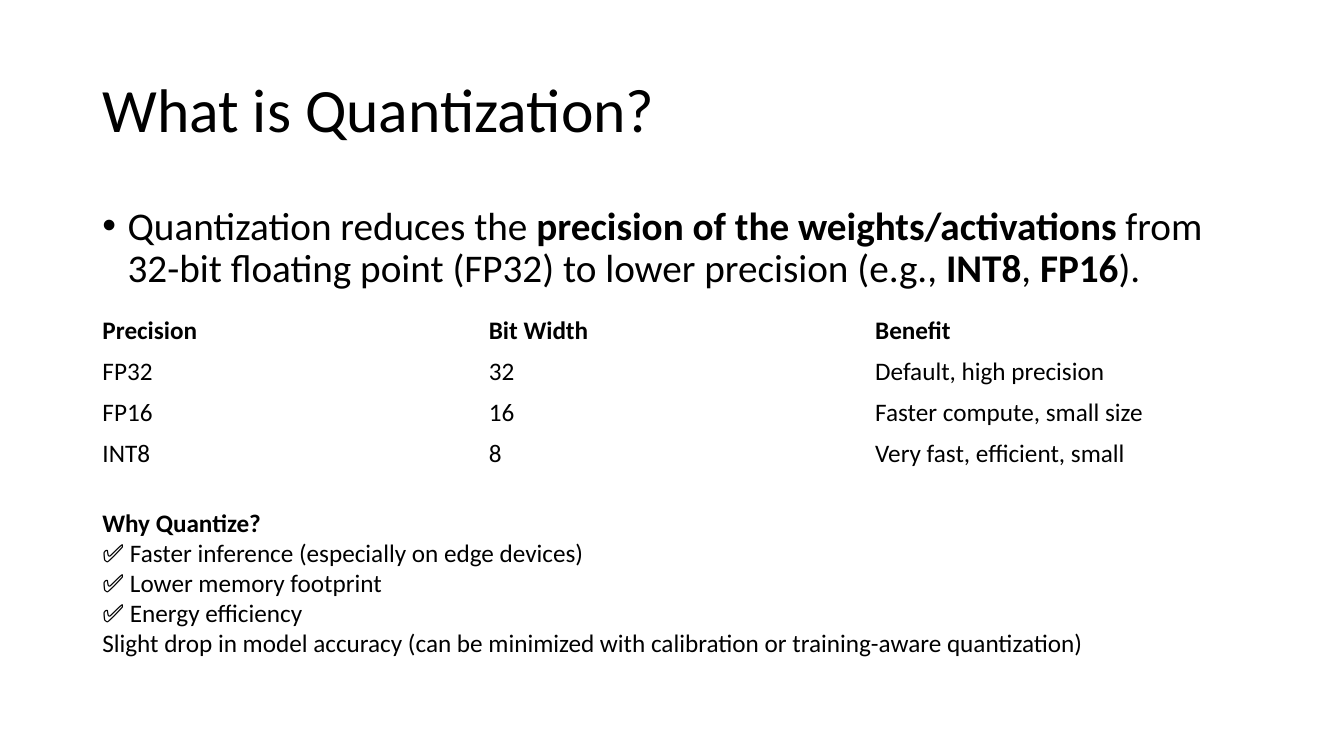
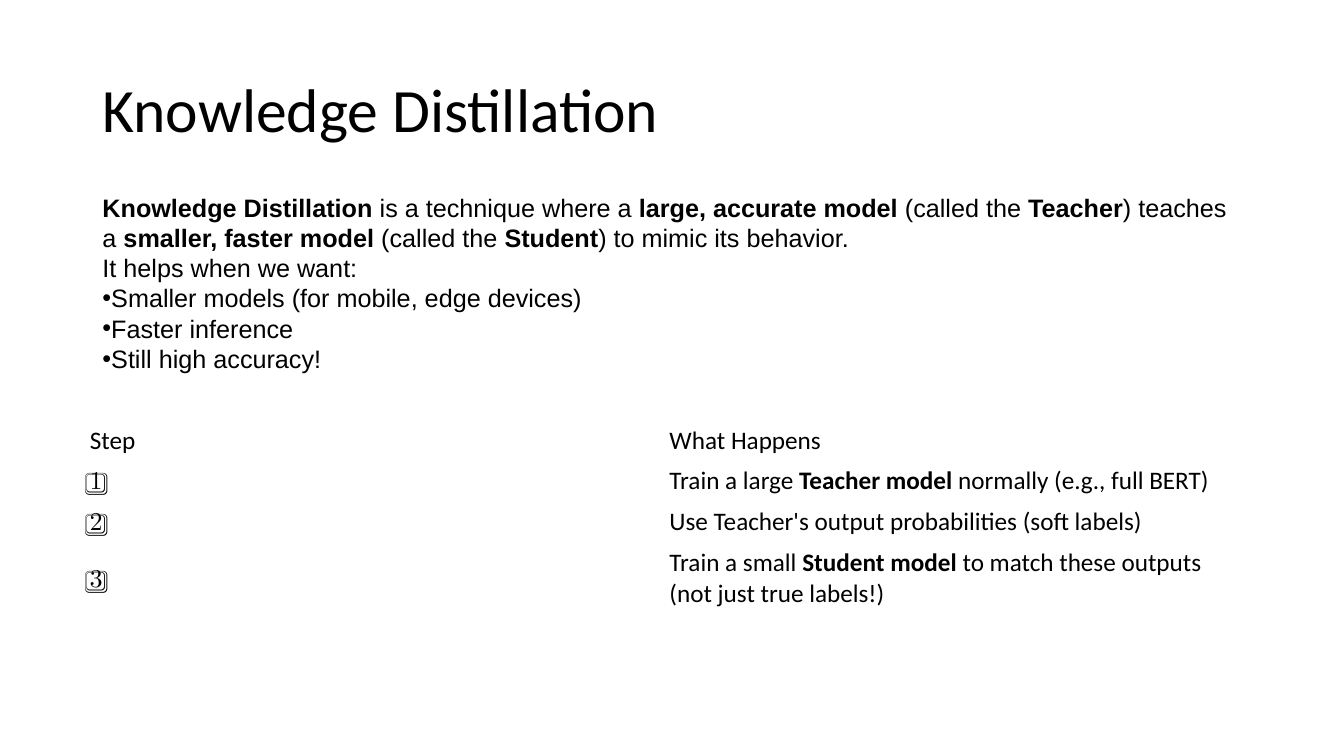
from lxml.etree import SubElement
from pptx import Presentation
from pptx.dml.color import RGBColor
from pptx.enum.text import MSO_ANCHOR as Anchor, MSO_AUTO_SIZE as Fit, PP_ALIGN as Align
from pptx.oxml.ns import qn
from pptx.util import Pt

PX = 9525  # EMU per px, 96 px to the inch
LEFT, WIDE = 88, 1104
ROW = 38
INK = "000000"

deck = Presentation()
deck.slide_width, deck.slide_height = 1280 * PX, 720 * PX


def write(frame, lines, size=18, font="Calibri", bold=False, lead=1.0,
          before=0, hang=0, anchor=Anchor.TOP):
    """Fill a frame; **marks** set bold, and a leading • makes a bullet."""
    frame.word_wrap = True
    frame.auto_size = Fit.NONE
    frame.vertical_anchor = anchor
    for i, line in enumerate(lines):
        para = frame.paragraphs[0] if i == 0 else frame.add_paragraph()
        para.alignment = Align.LEFT
        para.line_spacing = lead
        para.space_before = Pt(before)
        props = para._p.get_or_add_pPr()
        props.set("marL", str(hang * PX))
        props.set("indent", str(-hang * PX))
        if line.startswith("•"):
            SubElement(props, qn("a:buFont"), typeface="Arial")
            SubElement(props, qn("a:buChar"), char="•")
        else:
            SubElement(props, qn("a:buNone"))
        for j, part in enumerate(line.removeprefix("•").split("**")):
            if part:
                run = para.add_run()
                run.text = part
                run.font.size = Pt(size)
                run.font.name = font
                run.font.bold = bold or j % 2 == 1
                run.font.color.rgb = RGBColor.from_string(INK)


def grid(slide, rows, left, top, bold):
    """Add a plain table with equal columns; bold applies to its first row."""
    cols = len(rows[0])
    table = slide.shapes.add_table(len(rows), cols, left * PX, top * PX,
                                   WIDE * PX, len(rows) * ROW * PX).table
    table.first_row = table.horz_banding = False
    for r, row in enumerate(rows):
        for c, words in enumerate(row):
            cell = table.cell(r, c)
            cell.fill.background()
            write(cell.text_frame, [words], bold=bold and r == 0)
            cell.vertical_anchor = Anchor.MIDDLE


pages = [
    dict(
        title="What is Quantization?",
        top=192, tall=457,
        body=["•Quantization reduces the **precision of the weights/activations** from "
              "32-bit floating point (FP32) to lower precision (e.g., **INT8**, **FP16**)."],
        style=dict(size=28, lead=0.9, before=10, hang=24),
        table=dict(left=LEFT, top=296, bold=True, rows=[
            ["Precision", "Bit Width", "Benefit"],
            ["FP32", "32", "Default, high precision"],
            ["FP16", "16", "Faster compute, small size"],
            ["INT8", "8", "Very fast, efficient, small"],
        ]),
        note=["**Why Quantize?**",
              "✅ Faster inference (especially on edge devices)",
              "✅ Lower memory footprint",
              "✅ Energy efficiency",
              "Slight drop in model accuracy (can be minimized with calibration "
              "or training-aware quantization)"],
    ),
    dict(
        title="Knowledge Distillation",
        top=178, tall=213,
        body=["**Knowledge Distillation** is a technique where a **large, accurate model** "
              "(called the **Teacher**) teaches a **smaller, faster model** "
              "(called the **Student**) to mimic its behavior.",
              "It helps when we want:",
              "•Smaller models (for mobile, edge devices)",
              "•Faster inference",
              "•Still high accuracy!"],
        style=dict(font="Arial"),
        table=dict(left=76, top=400, bold=False, rows=[
            ["Step", "What Happens"],
            ["1️⃣", "Train a large **Teacher model** normally (e.g., full BERT)"],
            ["2️⃣", "Use Teacher's output probabilities (soft labels)"],
            ["3️⃣", "Train a small **Student model** to match these outputs "
                    "(not just true labels!)"],
        ]),
        note=[],
    ),
]

for page in pages:
    slide = deck.slides.add_slide(deck.slide_layouts[1])
    title, body = slide.placeholders
    for shape, top, tall in (title, 38, 139), (body, page["top"], page["tall"]):
        shape.left, shape.top = LEFT * PX, top * PX
        shape.width, shape.height = WIDE * PX, tall * PX
    write(title.text_frame, [page["title"]], size=44, lead=0.9, anchor=Anchor.MIDDLE)
    write(body.text_frame, page["body"], **page["style"])
    grid(slide, **page["table"])
    if page["note"]:
        note = slide.shapes.add_textbox(LEFT * PX, 478 * PX, WIDE * PX, 156 * PX)
        write(note.text_frame, page["note"])

deck.save("out.pptx")
